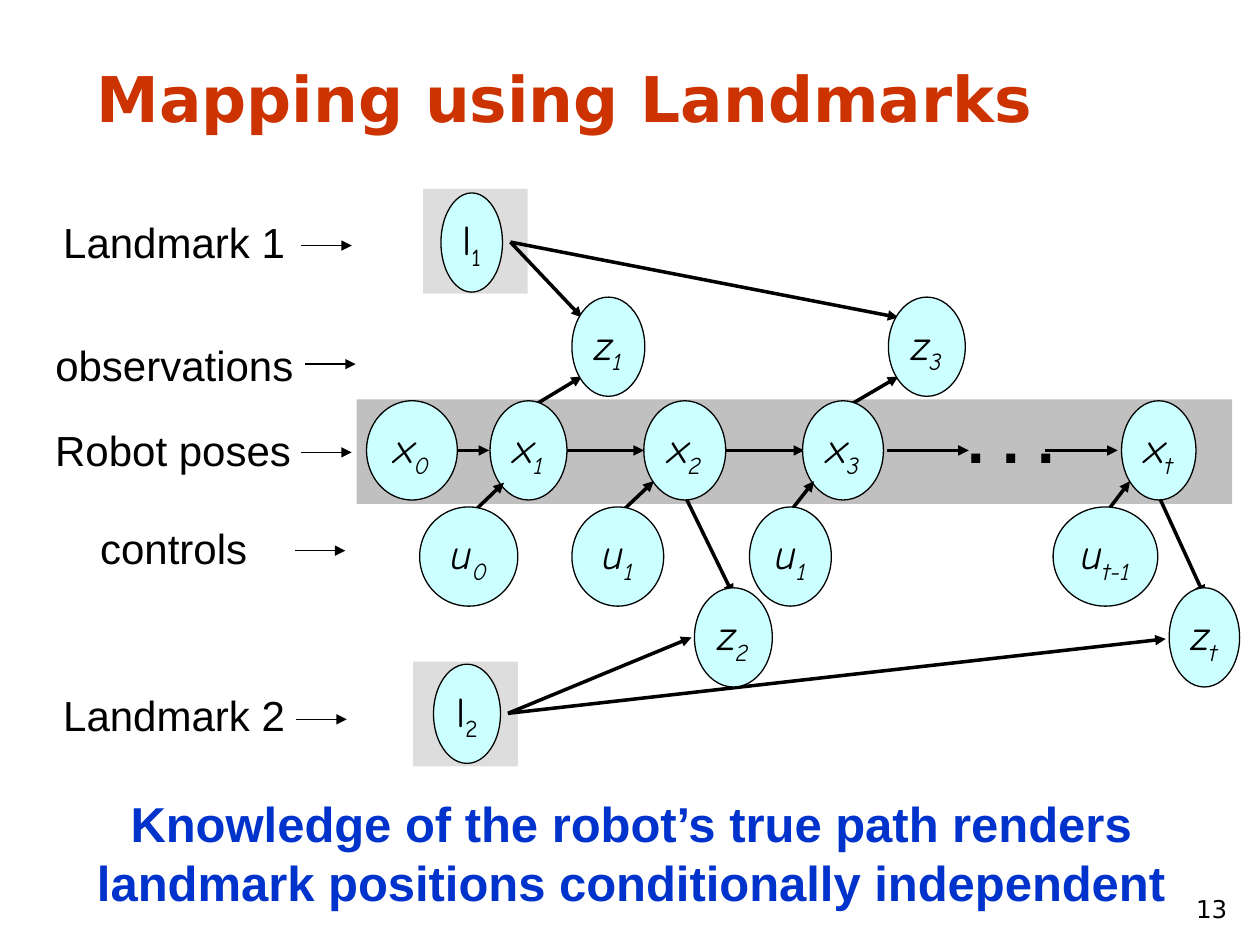
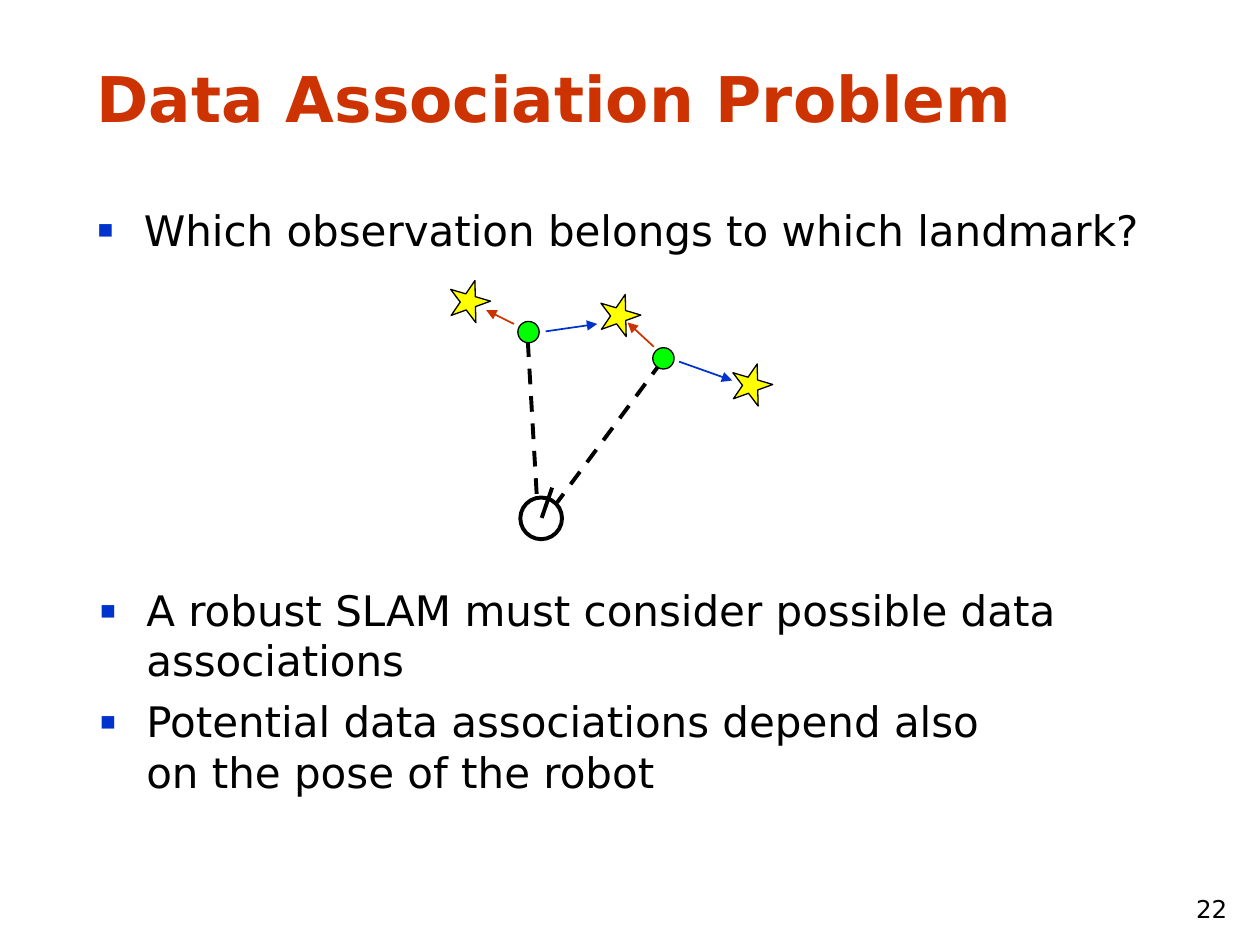
from dataclasses import dataclass

from lxml import etree
from pptx import Presentation
from pptx.dml.color import RGBColor
from pptx.enum import dml, shapes, text
from pptx.oxml import ns
from pptx.util import Cm, Pt


@dataclass(frozen=True)
class Theme:
    title_red: str = "CC3300"
    accent_blue: str = "0033CC"
    ink: str = "000000"
    paper: str = "FFFFFF"
    node: str = "CCFFFF"
    landmark_band: str = "DDDDDD"
    pose_band: str = "C0C0C0"
    star: str = "FFFF00"
    observation: str = "00FF00"
    heading_font: str = "DejaVu Sans"
    label_font: str = "Arial"
    node_font: str = "Comic Neue"
    title_size: float = 36
    caption_size: float = 28
    body_size: float = 24
    number_size: float = 14
    thin: float = 0.75
    pointer: float = 1
    arrow: float = 2
    heavy: float = 2.25


def add_child(parent, tag, **attributes):
    return etree.SubElement(parent, ns.qn(tag), attributes)


class Deck:
    def __init__(self, theme):
        self.theme = theme
        self.presentation = Presentation()
        self.presentation.slide_width = Cm(25.4)
        self.presentation.slide_height = Cm(19.05)
        self.slide = None

    def new_slide(self, title, number):
        theme = self.theme
        self.slide = self.presentation.slides.add_slide(self.presentation.slide_layouts[6])
        self.text(title, (1.7, 1.07, 23.39, 1.78), theme.title_size, theme.heading_font,
                  color=theme.title_red, bold=True, anchor=text.MSO_ANCHOR.BOTTOM)
        self.text(str(number), (23.29, 17.48, 1.7, 1.27), theme.number_size, theme.heading_font,
                  align=text.PP_ALIGN.RIGHT, anchor=text.MSO_ANCHOR.BOTTOM)

    def style_font(self, font, name, size, color=None, bold=False, italic=False):
        font.name = name
        font.size = Pt(size)
        font.bold = bold
        font.italic = italic
        font.color.rgb = RGBColor.from_string(color or self.theme.ink)

    def text(self, content, box, size, font, color=None, bold=False, wrap=True,
             align=text.PP_ALIGN.LEFT, anchor=text.MSO_ANCHOR.TOP):
        frame = self.slide.shapes.add_textbox(*map(Cm, box)).text_frame
        frame.text = content
        frame.word_wrap = wrap
        if not wrap:
            frame.auto_size = text.MSO_AUTO_SIZE.SHAPE_TO_FIT_TEXT
        frame.vertical_anchor = anchor
        for paragraph in frame.paragraphs:
            paragraph.alignment = align
            for run in paragraph.runs:
                self.style_font(run.font, font, size, color, bold)
        return frame

    def bullets(self, items, box):
        theme = self.theme
        frame = self.text("\n".join(items), box, theme.body_size, theme.heading_font)
        for index, paragraph in enumerate(frame.paragraphs):
            properties = paragraph._p.get_or_add_pPr()
            properties.set("marL", str(Cm(0.95)))
            properties.set("indent", str(-Cm(0.95)))
            color = add_child(properties, "a:buClr")
            add_child(color, "a:srgbClr", val=theme.accent_blue)
            add_child(properties, "a:buSzPct", val="120000")
            add_child(properties, "a:buFont", typeface=theme.label_font)
            add_child(properties, "a:buChar", char="▪")
            if index:
                paragraph.space_before = Pt(6)

    def shape(self, kind, box, fill, line_width=None, rotation=0):
        shape = self.slide.shapes.add_shape(kind, *map(Cm, box))
        shape.shadow.inherit = False
        shape.rotation = rotation
        shape.fill.solid()
        shape.fill.fore_color.rgb = RGBColor.from_string(fill)
        if line_width:
            shape.line.width = Pt(line_width)
            shape.line.color.rgb = RGBColor.from_string(self.theme.ink)
        else:
            shape.line.fill.background()
        return shape

    def band(self, box, fill):
        self.shape(shapes.MSO_SHAPE.RECTANGLE, box, fill)

    def node(self, letter, subscript, box, italic):
        """Draw a graph variable: an ellipse holding a letter and its subscript."""
        shape = self.shape(shapes.MSO_SHAPE.OVAL, box, self.theme.node, self.theme.thin)
        frame = shape.text_frame
        frame.word_wrap = False
        frame.vertical_anchor = text.MSO_ANCHOR.MIDDLE
        paragraph = frame.paragraphs[0]
        paragraph.alignment = text.PP_ALIGN.CENTER
        for content in (letter, subscript):
            run = paragraph.add_run()
            run.text = content
            self.style_font(run.font, self.theme.node_font, self.theme.body_size, italic=italic)
        run.font._element.set("baseline", "-25000")

    def line(self, ends, width, color=None, arrow=True, dashed=False):
        connector = self.slide.shapes.add_connector(
            shapes.MSO_CONNECTOR.STRAIGHT, *map(Cm, ends))
        connector.line.width = Pt(width)
        connector.line.color.rgb = RGBColor.from_string(color or self.theme.ink)
        if dashed:
            connector.line.dash_style = dml.MSO_LINE.DASH
        if arrow:
            add_child(connector.line._get_or_add_ln(), "a:tailEnd", type="triangle")
        add_child(connector._element.spPr, "a:effectLst")


def landmark_mapping(deck):
    theme = deck.theme
    deck.new_slide("Mapping using Landmarks", 13)
    for left, top in ((8.53, 3.81), (8.33, 13.34)):
        deck.band((left, top, 2.11, 2.11), theme.landmark_band)
    deck.band((7.19, 8.05, 17.65, 2.11), theme.pose_band)
    deck.text("Knowledge of the robot’s true path renders landmark positions "
              "conditionally independent", (0.56, 15.88, 24.33, 2.64), theme.caption_size,
              theme.label_font, theme.accent_blue, bold=True, align=text.PP_ALIGN.CENTER)

    row_labels = (
        # label, left, top, width, arrow start, arrow height
        ("Landmark 1", 1.02, 4.24, 4.98, 6.07, 4.95),
        ("observations", 0.86, 6.71, 5.31, 6.15, 7.34),
        ("Robot poses", 0.86, 8.43, 5.26, 6.07, 9.12),
        ("controls", 1.7, 10.41, 3.6, 5.94, 11.1),
        ("Landmark 2", 1.02, 13.77, 4.98, 5.97, 14.5),
    )
    for label, left, top, width, start, height in row_labels:
        deck.text(label, (left, top, width, 1.27), theme.body_size, theme.label_font,
                  wrap=False, align=text.PP_ALIGN.CENTER)
        deck.line((start, height, start + 1.02, height), theme.thin)

    pose_steps = ((9.22, 9.86), (11.4, 12.98), (14.61, 16.21), (17.88, 19.53), (21.06, 22.53))
    motion = [(start, 9.08, end, 9.08) for start, end in pose_steps]
    sensing = [(10.67, 8.23, 11.73, 7.59), (17.02, 8.23, 18.11, 7.59),
               (13.79, 9.96, 14.78, 11.99), (23.34, 9.96, 24.28, 12.01)]
    sightings = [(10.29, 4.88, 11.73, 6.4), (10.29, 4.88, 18.11, 6.4),
                 (10.24, 14.38, 13.94, 12.85), (10.24, 14.38, 23.5, 12.88)]
    steering = [(9.45, 10.41, 10.16, 9.73), (12.45, 10.39, 13.18, 9.7),
                (15.93, 10.31, 16.41, 9.7), (22.28, 10.36, 22.78, 9.7)]
    for ends in motion + sensing + sightings:
        deck.line(ends, theme.arrow)
    deck.text(". . .", (19.25, 7.95, 2.5, 1.78), theme.title_size, theme.label_font,
              bold=True, wrap=False)

    def node_row(letter, top, members):
        for subscript, left, width in members:
            deck.node(letter, subscript, (left, top, width, 2), italic=letter != "l")

    node_row("l", 3.89, [("1", 8.89, 1.24)])
    node_row("l", 13.39, [("2", 8.74, 1.35)])
    node_row("z", 5.99, [("1", 11.53, 1.47), ("3", 17.91, 1.55)])
    node_row("z", 11.85, [("2", 14, 1.57), ("t", 23.57, 1.42)])
    node_row("x", 8.08, [("0", 7.39, 1.83), ("1", 9.88, 1.55), ("2", 12.98, 1.65),
                         ("3", 16.18, 1.63), ("t", 22.61, 1.5)])
    for ends in steering:
        deck.line(ends, theme.arrow)
    node_row("u", 10.22, [("0", 8.46, 1.98), ("1", 11.53, 1.85), ("1", 15.11, 1.65),
                          ("t-1", 21.23, 2.11)])


def data_association(deck):
    theme = deck.theme
    deck.new_slide("Data Association Problem", 22)
    deck.bullets(["Which observation belongs to which landmark?"], (1.7, 3.99, 21.59, 2.54))
    deck.bullets(["A robust SLAM must consider possible data associations",
                  "Potential data associations depend also\von the pose of the robot"],
                 (1.75, 11.66, 21.59, 6.1))

    for left, top in ((9.04, 5.64), (12.07, 5.92), (14.73, 7.32)):
        deck.shape(shapes.MSO_SHAPE.STAR_5_POINT, (left, top, 0.84, 0.81), theme.star,
                   theme.thin, rotation=16.5)
    deck.shape(shapes.MSO_SHAPE.OVAL, (10.49, 10.03, 0.84, 0.84), theme.paper, theme.heavy)
    deck.line((10.92, 10.44, 11.13, 9.83), theme.heavy, arrow=False)
    for sight_line in ((10.64, 6.88, 10.82, 9.98), (13.34, 7.29, 11.23, 10.13)):
        deck.line(sight_line, theme.heavy, arrow=False, dashed=True)
    for left, top in ((10.44, 6.48), (13.16, 7.01)):
        deck.shape(shapes.MSO_SHAPE.OVAL, (left, top, 0.43, 0.43), theme.observation, theme.thin)

    hypotheses = {
        theme.title_red: ((10.36, 6.53, 9.8, 6.25), (13.18, 6.99, 12.65, 6.5)),
        theme.accent_blue: ((11, 6.68, 12.04, 6.53), (13.69, 7.29, 14.76, 7.67)),
    }
    for color, pointers in hypotheses.items():
        for ends in pointers:
            deck.line(ends, theme.pointer, color)


def main():
    deck = Deck(Theme())
    landmark_mapping(deck)
    data_association(deck)
    deck.presentation.save("out.pptx")


if __name__ == "__main__":
    main()
